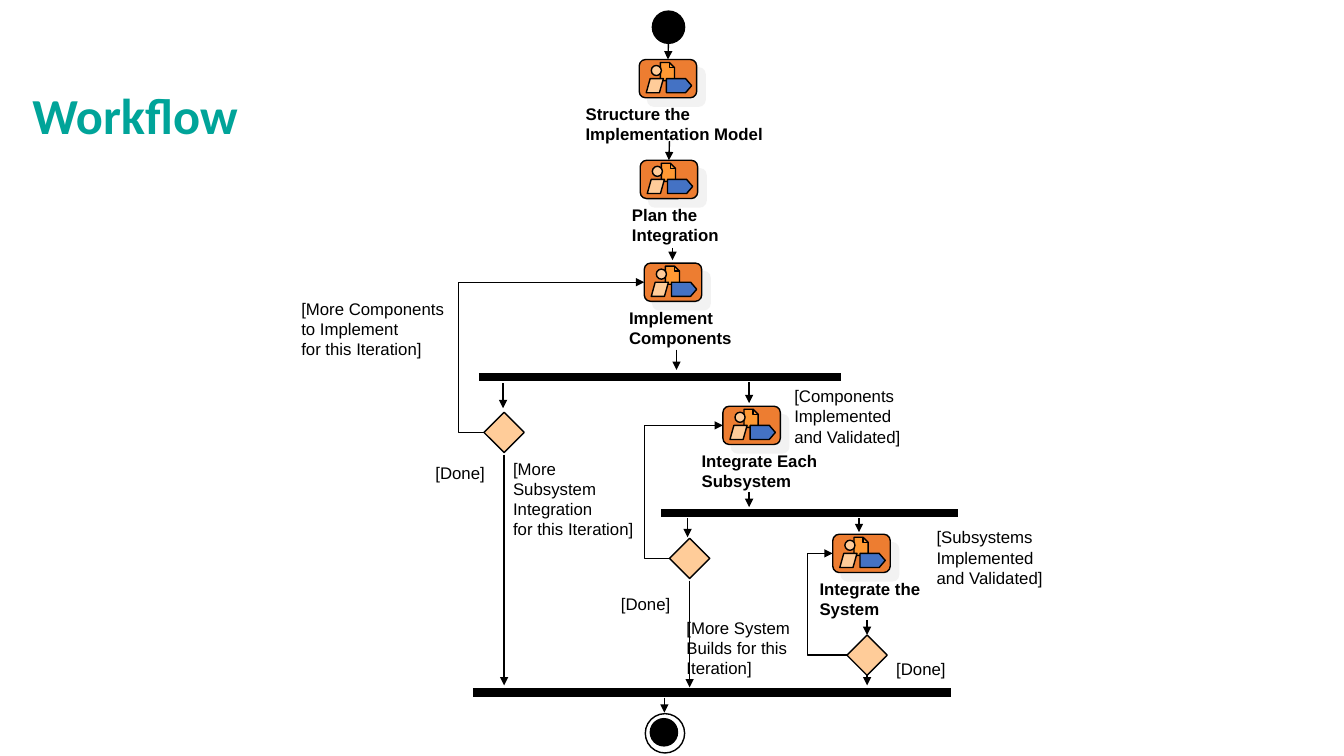
from lxml import etree
from pptx import Presentation
from pptx import util as u
from pptx.dml.color import RGBColor
from pptx.enum import shapes as kinds, text as txt
from pptx.oxml import ns

PX = 9144
BLACK = RGBColor(0x00, 0x00, 0x00)
TEAL = RGBColor(0x00, 0xA4, 0x99)
ORANGE = RGBColor(0xED, 0x7D, 0x31)
AMBER = RGBColor(0xFF, 0x99, 0x33)
PEACH = RGBColor(0xFF, 0xCC, 0x99)
BLUE = RGBColor(0x44, 0x72, 0xC4)
SHADOW = RGBColor(0xE7, 0xE6, 0xE6)
SHAPE = kinds.MSO_SHAPE
TOP, BOTTOM = 0, 2


def px(*lengths):
    return [u.Emu(length * PX) for length in lengths]


def add_child(parent, tag, **attributes):
    child = etree.SubElement(parent, ns.qn(tag))
    for name, value in attributes.items():
        child.set(name, str(value))
    return child


def paint(part, fill):
    if fill is None:
        part.fill.background()
    else:
        part.fill.solid()
        part.fill.fore_color.rgb = fill
    part.line.color.rgb = BLACK
    part.line.width = u.Pt(1)
    part.shadow.inherit = False
    return part


def add_part(slide, kind, box, fill, adjustment=None):
    part = slide.shapes.add_shape(kind, *px(*box))
    if adjustment is not None:
        part.adjustments[0] = adjustment
    return paint(part, fill)


def add_outline(slide, points, fill, close):
    builder = slide.shapes.build_freeform(*points[0], scale=PX)
    builder.add_line_segments(points[1:], close=close)
    return paint(builder.convert_to_shape(), fill)


def add_label(slide, box, lines, bold=False, wrap=False):
    label = slide.shapes.add_textbox(*px(*box))
    frame = label.text_frame
    frame.word_wrap = wrap
    frame.auto_size = txt.MSO_AUTO_SIZE.SHAPE_TO_FIT_TEXT
    frame.text = "\n".join(lines)
    for paragraph in frame.paragraphs:
        paragraph.font.name = "Arial"
        paragraph.font.size = u.Pt(12)
        paragraph.font.bold = bold
        paragraph.font.color.rgb = BLACK


def add_line(slide, start, end, weight=1, via_x=None, arrow=True):
    kind = kinds.MSO_CONNECTOR.STRAIGHT if via_x is None else kinds.MSO_CONNECTOR.ELBOW
    line = slide.shapes.add_connector(kind, *px(*start, *end))
    line.line.color.rgb = BLACK
    line.line.width = u.Pt(weight)
    properties = line._element.spPr
    if arrow:
        add_child(line.line._get_or_add_ln(), "a:tailEnd", type="triangle")
    if via_x is not None:
        ratio = (via_x - start[0]) / (end[0] - start[0])
        guides = properties.find(ns.qn("a:prstGeom")).get_or_add_avLst()
        add_child(guides, "a:gd", name="adj1", fmla=f"val {round(ratio * 100000)}")
    add_child(properties, "a:effectLst")
    return line


def add_activity(slide, x, y, caption_x, caption_width, caption):
    card = add_part(slide, SHAPE.ROUNDED_RECTANGLE, (x, y, 57, 38), ORANGE, 0.167)
    effects = card._element.spPr.find(ns.qn("a:effectLst"))
    shadow = add_child(effects, "a:outerShdw", dist=u.Pt(8.5), dir=45 * 60000,
                       algn="ctr", rotWithShape=0)
    tint = add_child(shadow, "a:srgbClr", val=SHADOW)
    add_child(tint, "a:alpha", val=50000)

    left, top, right, bottom = x + 21, y + 3, x + 35, y + 21
    fold_x, fold_y = right - 5, top + 5
    add_outline(slide, [(left, top), (left, bottom), (right, bottom),
                        (right, fold_y), (fold_x, top)], AMBER, True)
    add_outline(slide, [(fold_x, top), (fold_x, fold_y), (right, fold_y)], None, False)
    add_part(slide, SHAPE.PARALLELOGRAM, (x + 7, y + 19, 17, 14), PEACH, 0.279)
    add_part(slide, SHAPE.OVAL, (x + 12, y + 6, 10, 10), PEACH)
    add_part(slide, SHAPE.PENTAGON, (x + 27, y + 19, 25, 14), BLUE, 0.427)
    add_label(slide, (caption_x, y + 39, caption_width, 50), caption, bold=True)
    return card


def add_decision(slide, x, y):
    return add_part(slide, SHAPE.DIAMOND, (x, y, 40, 40), PEACH)


def add_title(slide):
    title = slide.shapes.title
    title.left, title.top, title.width, title.height = px(22, 72, 1290, 77)
    frame = title.text_frame
    frame.text = "Workflow"
    frame.vertical_anchor = txt.MSO_ANCHOR.BOTTOM
    frame.auto_size = txt.MSO_AUTO_SIZE.NONE
    heading = frame.paragraphs[0]
    heading.alignment = txt.PP_ALIGN.LEFT
    heading.line_spacing = 0.9
    heading.font.name = "Calibri"
    heading.font.size = u.Pt(36)
    heading.font.bold = True
    heading.font.color.rgb = TEAL


def add_workflow(slide):
    add_part(slide, SHAPE.OVAL, (647, 11, 32, 32), BLACK)
    add_part(slide, SHAPE.OVAL, (645, 713, 27, 27), BLACK)
    add_part(slide, SHAPE.OVAL, (640, 708, 39, 39), None)

    structure = add_activity(slide, 634, 59, 571, 196,
                             ["Structure the", "Implementation Model"])
    plan = add_activity(slide, 635, 159, 617, 106, ["Plan the", "Integration"])
    add_activity(slide, 639, 261, 614, 122, ["Implement", "Components"])
    add_activity(slide, 717, 403, 686, 135, ["Integrate Each", "Subsystem"])
    add_activity(slide, 826, 530, 803, 120, ["Integrate the", "System"])

    add_decision(slide, 480, 409)
    add_decision(slide, 664, 534)
    system_check = add_decision(slide, 840, 630)

    for left, right, y in [(475, 834, 374), (656, 950, 509), (469, 943, 687)]:
        add_line(slide, (left, y), (right, y), weight=6, arrow=False)

    add_line(slide, (663, 43), (663, 59)).end_connect(structure, TOP)
    add_line(slide, (664, 140), (664, 159)).end_connect(plan, TOP)
    add_line(slide, (860, 615), (860, 630)).end_connect(system_check, TOP)
    add_line(slide, (860, 670), (860, 680)).begin_connect(system_check, BOTTOM)
    for x, top, bottom in [(667, 246, 258), (671, 347, 367), (499, 380, 405),
                           (743, 379, 400), (743, 488, 503), (682, 514, 533),
                           (852, 514, 528), (659, 692, 707), (684, 576, 682),
                           (500, 451, 680)]:
        add_line(slide, (x, top), (x, bottom))

    for start, end, via_x in [((480, 429), (639, 280), 455),
                              ((664, 554), (717, 422), 639),
                              ((840, 650), (826, 549), 801)]:
        add_line(slide, start, end, via_x=via_x)


def add_conditions(slide):
    add_label(slide, (289, 291, 163, 71),
              ["[More Components", "to Implement", "for this Iteration]"])
    for x, y in [(422, 454), (606, 584), (879, 649)]:
        add_label(slide, (x, y, 69, 30), ["[Done]"])
    for x, y, height, lines in [
        (499, 450, 91, ["[More Subsystem Integration", "for this Iteration]"]),
        (778, 378, 71, ["[Components", "Implemented and Validated]"]),
        (671, 608, 71, ["[More System", "Builds for this Iteration]"]),
        (919, 518, 71, ["[Subsystems", "Implemented and Validated]"]),
    ]:
        add_label(slide, (x, y, 148, height), lines, wrap=True)


def main():
    deck = Presentation()
    deck.slide_width, deck.slide_height = px(1333, 750)
    slide = deck.slides.add_slide(deck.slide_layouts[5])
    add_title(slide)
    add_workflow(slide)
    add_conditions(slide)
    deck.save("out.pptx")


if __name__ == "__main__":
    main()
